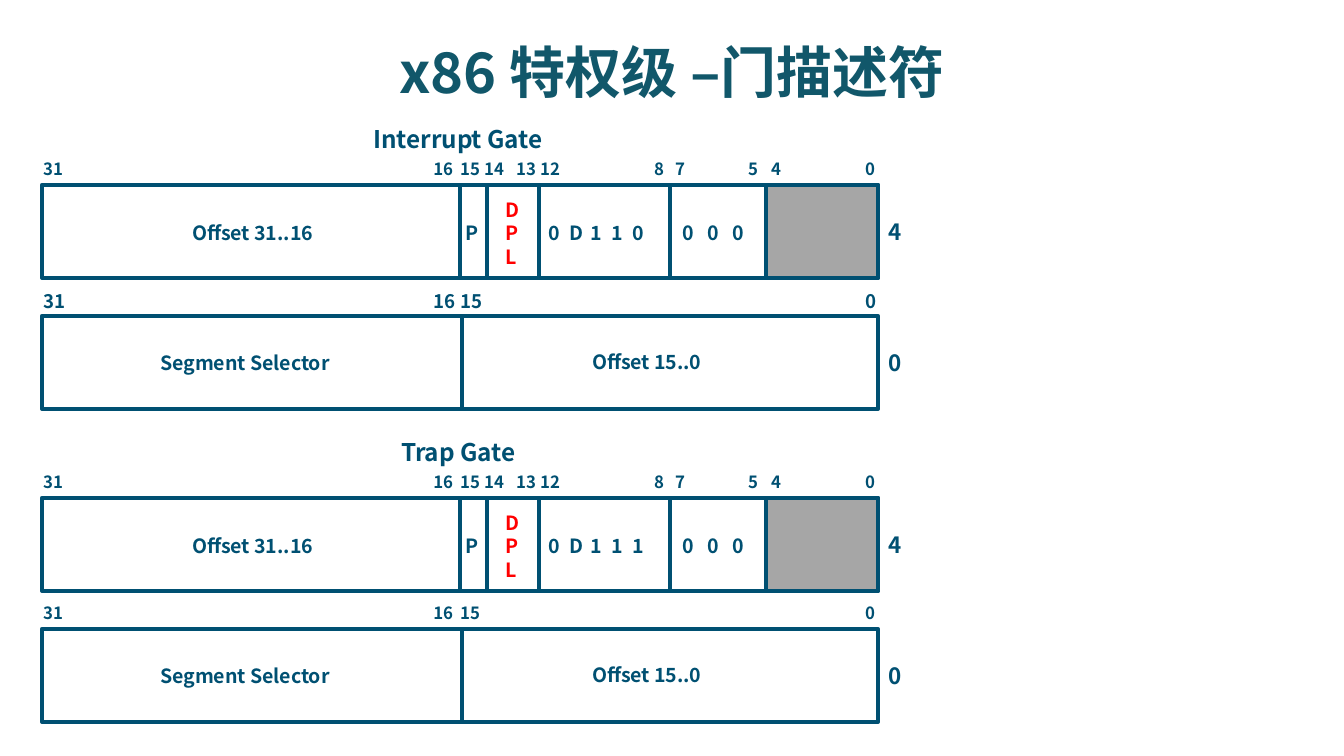
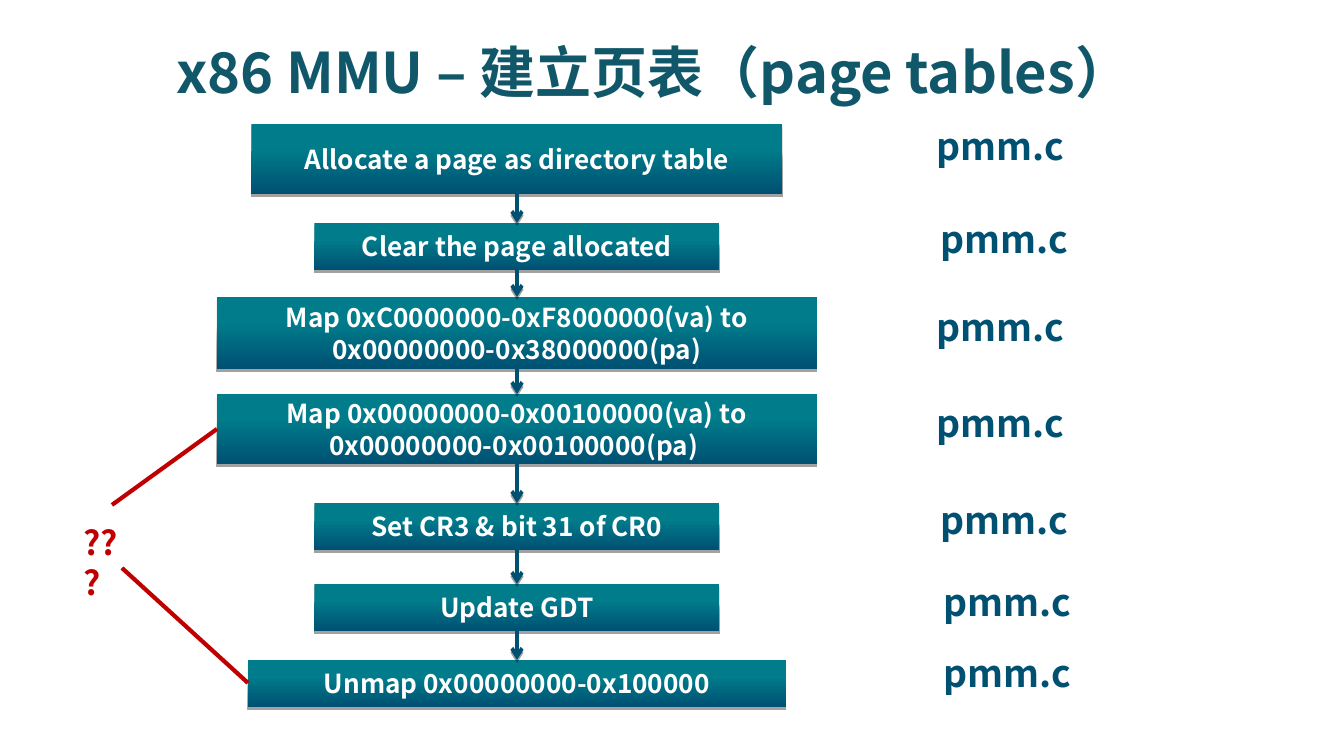
"""Two slides on x86: gate descriptors and building the page tables."""
import pptx
import pptx.dml.color
import pptx.enum.dml
import pptx.enum.shapes
import pptx.enum.text
import pptx.oxml
import pptx.oxml.ns
import pptx.util

EMU_PER_PIXEL = 914400 / 134.4
SLIDE_WIDTH, SLIDE_HEIGHT = 1344, 756
FONT = "Noto Sans CJK SC"
NAVY, TEAL, TITLE_TEAL = "005072", "007C8B", "11576A"
WHITE, GREY, RED, DARK_RED = "FFFFFF", "A6A6A6", "FF0000", "C00000"
NAMESPACE = pptx.oxml.ns.nsdecls("a")
ALIGN = pptx.enum.text.PP_ALIGN
SHAPES = pptx.enum.shapes.MSO_SHAPE

# Gate layout: one 32-bit word is a box 836 x 93
WORD_LEFT, WORD_WIDTH, WORD_HEIGHT, WORD_STEP = 42, 836, 93, 131
HIGH_BITS = [("31", 30), ("16", 420), ("15", 447), ("14", 471), ("13", 503),
             ("12", 527), ("8", 641), ("7", 662), ("5", 735), ("4", 758),
             ("0", 852)]
LOW_BITS = [bit for bit in HIGH_BITS if bit[0] in ("31", "16", "15", "0")]

# Steps: text, top, width, height, then left and top of the file name
FLOW_CENTER = 517
STEPS = [
    ("Allocate a page as directory table", 124, 531, 70, 923, 117),
    ("Clear the page allocated", 223, 405, 47, 927, 210),
    ("Map 0xC0000000-0xF8000000(va) to 0x00000000-0x38000000(pa)",
     297, 600, 72, 923, 298),
    ("Map 0x00000000-0x00100000(va) to 0x00000000-0x00100000(pa) ",
     394, 600, 70, 923, 394),
    ("Set CR3 & bit 31 of CR0", 503, 405, 47, 927, 491),
    ("Update GDT", 584, 405, 47, 930, 573),
    ("Unmap 0x00000000-0x100000", 660, 538, 47, 930, 644),
]


def px(*lengths):
    """Turn pixel lengths into a list of EMU lengths."""
    return [pptx.util.Emu(round(length * EMU_PER_PIXEL)) for length in lengths]


def color(hex_code):
    """Turn a hex string into a colour."""
    return pptx.dml.color.RGBColor.from_string(hex_code)


def write(frame, text, size=10.5, fill=NAVY, align=ALIGN.LEFT, tab=None):
    """Write text, a paragraph per line; tab is the pitch of tab stops."""
    frame.word_wrap = True
    for index, line_text in enumerate(text.split("\n")):
        paragraph = frame.add_paragraph() if index else frame.paragraphs[0]
        paragraph.alignment = align
        run = paragraph.add_run()
        run.text = line_text
        run.font.size = pptx.util.Pt(size)
        run.font.name = FONT
        run.font.bold = True
        run.font.color.rgb = color(fill)
        run.font._element.append(pptx.oxml.parse_xml(
            f'<a:ea {NAMESPACE} typeface="{FONT}"/>'))
        if tab:
            stops = "".join(f'<a:tab pos="{px(tab * n)[0]}" algn="l"/>'
                            for n in range(1, line_text.count("\t") + 1))
            paragraph._p.get_or_add_pPr().append(pptx.oxml.parse_xml(
                f"<a:tabLst {NAMESPACE}>{stops}</a:tabLst>"))


def label(slide, text, left, top, width, height=37, **style):
    """Add a text box."""
    box = slide.shapes.add_textbox(*px(left, top, width, height))
    write(box.text_frame, text, **style)


def title(slide, text, left, width, align):
    """Add the slide title."""
    label(slide, text, left, 31, width, 82, size=30, fill=TITLE_TEAL,
          align=align)


def effects(shape, shadow):
    """Give a shape the hard shadow below it, or no effect at all."""
    drop = ('<a:outerShdw blurRad="0" dist="20000" dir="5400000" '
            'rotWithShape="0"><a:srgbClr val="000000"><a:alpha val="36000"/>'
            '</a:srgbClr></a:outerShdw>') if shadow else ""
    shape._element.spPr.append(pptx.oxml.parse_xml(
        f"<a:effectLst {NAMESPACE}>{drop}</a:effectLst>"))


def line(slide, x1, y1, x2, y2, stroke=NAVY, width=2.25, arrow=False):
    """Add a straight line, or an arrow with a shadow."""
    link = slide.shapes.add_connector(
        pptx.enum.shapes.MSO_CONNECTOR.STRAIGHT, *px(x1, y1, x2, y2))
    link.line.color.rgb = color(stroke)
    link.line.width = pptx.util.Pt(width)
    if arrow:
        link.line._get_or_add_ln().append(pptx.oxml.parse_xml(
            f'<a:tailEnd {NAMESPACE} type="arrow"/>'))
    effects(link, shadow=arrow)


def field(slide, left, top, width, fill=None):
    """Add an outlined box, one word high."""
    box = slide.shapes.add_shape(SHAPES.RECTANGLE,
                                 *px(left, top, width, WORD_HEIGHT))
    box.shadow.inherit = False
    box.line.color.rgb = color(NAVY)
    box.line.width = pptx.util.Pt(2.25)
    if fill:
        box.fill.solid()
        box.fill.fore_color.rgb = color(fill)
    else:
        box.fill.background()


def word(slide, top, bits, dividers, byte, bit_size=9):
    """Add a 32-bit word with its bit numbers, dividers and byte offset."""
    field(slide, WORD_LEFT, top, WORD_WIDTH)
    for x in dividers:
        line(slide, x, top, x, top + WORD_HEIGHT)
    for bit, left in bits:
        label(slide, bit, left, top - 33, 52 if len(bit) > 1 else 31, 33,
              size=bit_size)
    label(slide, byte, 875, top + 27, 31, 40, size=12)


def gate(slide, name, name_left, name_width, top, type_bits, low_bit_size):
    """Add a gate descriptor: its name, high word and low word."""
    label(slide, name, name_left, top - 67, name_width, 43, size=13)
    word(slide, top, HIGH_BITS, (460, 487, 539, 670), "4")
    field(slide, 766, top, 112, fill=GREY)
    label(slide, "Offset 31..16", 179, top + 29, 168)
    label(slide, "P", 452, top + 29, 46)
    label(slide, "D\nP\nL", 492, top + 6, 46, 85, fill=RED)
    label(slide, "\t".join(type_bits), 535, top + 29, 146, tab=21)
    label(slide, "0\t0\t0", 669, top + 29, 102, tab=25)

    low = top + WORD_STEP
    word(slide, low, LOW_BITS, (462,), "0", low_bit_size)
    label(slide, "Segment Selector", 147, low + 28, 241)
    label(slide, "Offset 15..0", 579, low + 27, 157)


def step(slide, text, top, width, height):
    """Add a gradient box of the flow, centred on its axis."""
    box = slide.shapes.add_shape(
        SHAPES.FLOWCHART_PROCESS,
        *px(FLOW_CENTER - width / 2, top, width, height))
    box.line.fill.background()
    box.fill.gradient()
    box.fill.gradient_angle = 270
    for stop, place, shade in zip(box.fill.gradient_stops, (0.35, 1),
                                  (TEAL, NAVY)):
        stop.position = place
        stop.color.rgb = color(shade)
    effects(box, shadow=True)
    box.text_frame.vertical_anchor = pptx.enum.text.MSO_ANCHOR.MIDDLE
    write(box.text_frame, text, size=14, fill=WHITE, align=ALIGN.CENTER)


def gates_slide(slide):
    """Build the slide of the interrupt and trap gates."""
    title(slide, "x86 特权级 –门描述符", 0, SLIDE_WIDTH, ALIGN.CENTER)
    gate(slide, "Interrupt Gate", 360, 227, 185, "0D110", 10)
    gate(slide, "Trap Gate", 388, 173, 498, "0D111", 9)


def page_tables_slide(slide):
    """Build the slide of the steps that set up the page tables."""
    title(slide, "x86 MMU – 建立页表（page tables）", 163, 1154, ALIGN.LEFT)
    for text, top, width, height, file_left, file_top in STEPS:
        step(slide, text, top, width, height)
        label(slide, "pmm.c", file_left, file_top, 157, 59, size=20)
    for upper, lower in zip(STEPS, STEPS[1:]):
        line(slide, FLOW_CENTER, upper[1] + upper[3], FLOW_CENTER, lower[1],
             width=2, arrow=True)
    label(slide, "???", 70, 515, 75, 54, size=18, fill=DARK_RED)
    line(slide, 112, 505, 217, 429, stroke=DARK_RED)
    line(slide, 122, 568, 248, 683, stroke=DARK_RED)


def main():
    """Build and save the presentation."""
    deck = pptx.Presentation()
    deck.slide_width, deck.slide_height = px(SLIDE_WIDTH, SLIDE_HEIGHT)
    for build in (gates_slide, page_tables_slide):
        build(deck.slides.add_slide(deck.slide_layouts[6]))
    deck.save("out.pptx")


main()
